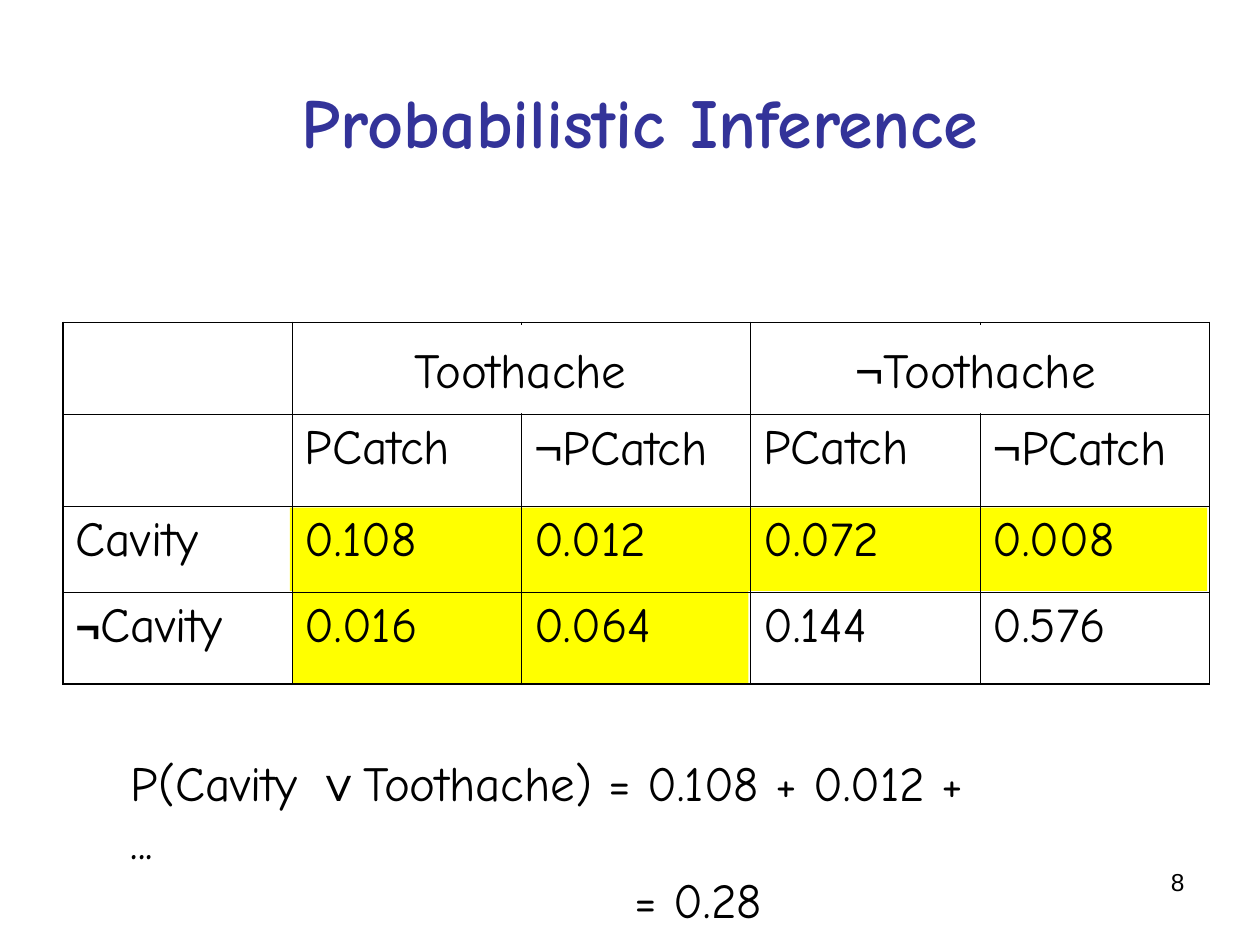
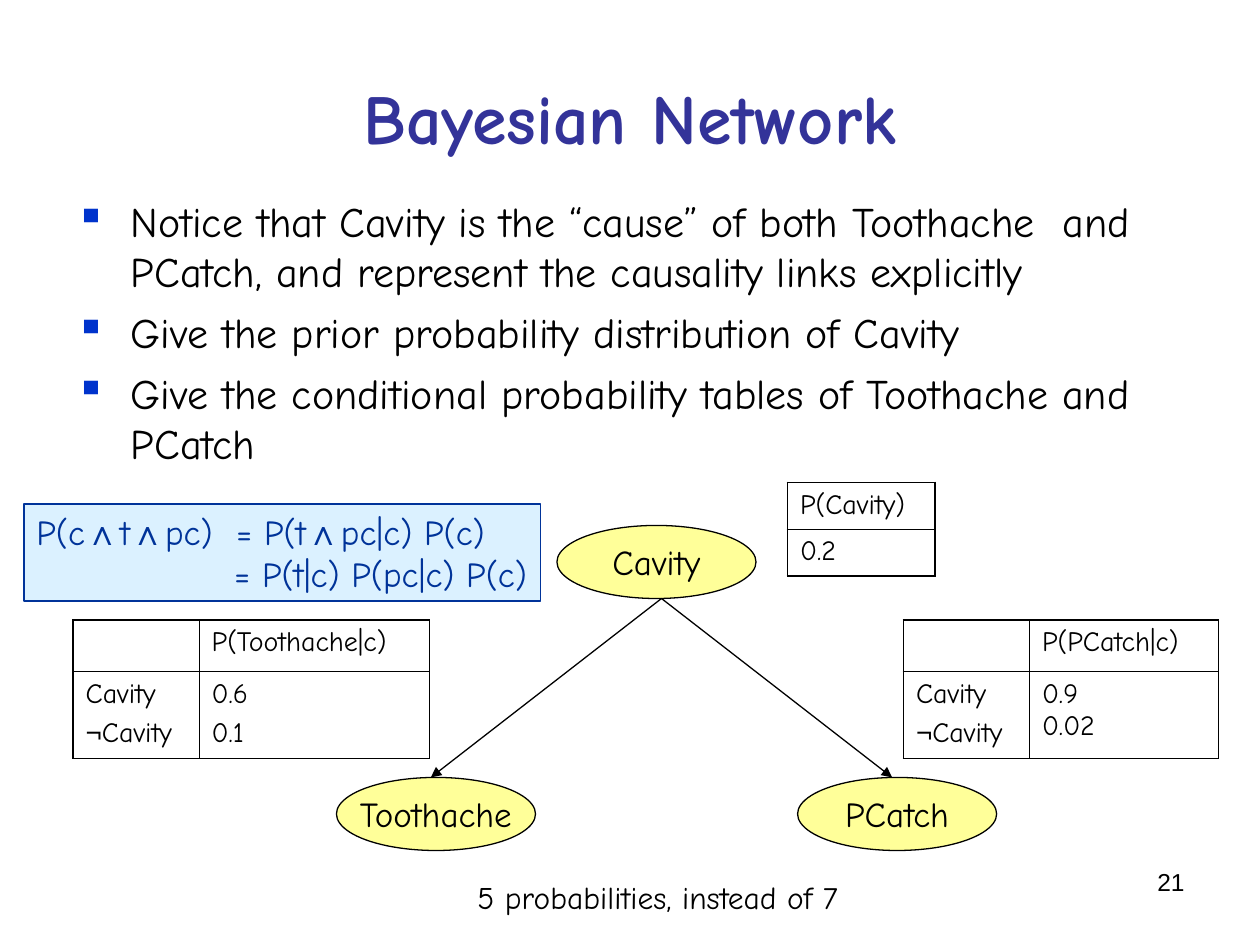
"""Build two slides on probabilistic inference and Bayesian networks."""
from itertools import groupby

from lxml import etree
from pptx import Presentation
from pptx.dml.color import RGBColor
from pptx.enum.shapes import MSO_CONNECTOR, MSO_SHAPE
from pptx.enum.text import MSO_ANCHOR, PP_ALIGN
from pptx.oxml import parse_xml
from pptx.oxml.ns import nsdecls, qn
from pptx.util import Inches, Pt

RECT, OVAL = MSO_SHAPE.RECTANGLE, MSO_SHAPE.OVAL
STRAIGHT = MSO_CONNECTOR.STRAIGHT
LEFT, CENTER, RIGHT = PP_ALIGN.LEFT, PP_ALIGN.CENTER, PP_ALIGN.RIGHT
MIDDLE = MSO_ANCHOR.MIDDLE

COLORS = {"black": "000000", "white": "FFFFFF", "title": "333399", "bullet": "0033CC",
          "highlight": "FFFF00", "node": "FFFF99", "formula": "DBF1FF", "formula_ink": "003399"}
FONT, SYMBOL_FONT = "Comic Neue", "Arial"


def write(tf, text, size, color="black", align=LEFT, before=0, bold=False, font=FONT):
    """Write paragraphs, with logic symbols in their own font and \\v as a line break."""
    for i, line in enumerate(text.split("\n")):
        p = tf.paragraphs[0] if i == 0 else tf.add_paragraph()
        p.alignment = align
        p.space_before = Pt(before)
        for symbol, chars in groupby(line, lambda ch: ch if ch in "¬∧∨\v" else ""):
            if symbol == "\v":
                p.add_line_break()
                continue
            r = p.add_run()
            r.text = "".join(chars)
            r.font.name = SYMBOL_FONT if symbol else font
            r.font.size = Pt(size)
            r.font.bold = bold or symbol in ("∧", "∨")
            r.font.color.rgb = RGBColor.from_string(COLORS[color])


def add_table(s, x, y, widths, heights, rows, size, before):
    """Add an unfilled table with thin inner and thicker outer borders."""
    frame = s.shapes.add_table(len(heights), len(widths), Inches(x), Inches(y),
                               Inches(sum(widths)), Inches(sum(heights)))
    table = frame.table
    table.first_row = table.horz_banding = False
    for column, width in zip(table.columns, widths):
        column.width = Inches(width)
    for row, height in zip(table.rows, heights):
        row.height = Inches(height)
    for i, row in enumerate(rows):
        for j, text in enumerate(row):
            cell = table.cell(i, j)
            write(cell.text_frame, text, size, before=before)
            outer = {"L": j == 0, "R": j == len(widths) - 1,
                     "T": i == 0, "B": i == len(heights) - 1}
            for side, is_outer in outer.items():
                cell._tc.get_or_add_tcPr().append(parse_xml(
                    f'<a:ln{side} {nsdecls("a")} w="{Pt(1.08 if is_outer else 0.45)}"><a:solidFill>'
                    f'<a:srgbClr val="{COLORS["black"]}"/></a:solidFill></a:ln{side}>'))
            cell.fill.background()
    return table


prs = Presentation()
prs.slide_width, prs.slide_height = Inches(10), Inches(7.5)

slides = []
for title, number, at in [("Probabilistic Inference", "8", (0.33, 0.33, 9.5, 1.25)),
                          ("Bayesian Network", "21", (0.5, 0.3, 9, 1.25))]:
    s = prs.slides.add_slide(prs.slide_layouts[6])
    tf = s.shapes.add_textbox(*map(Inches, at)).text_frame
    tf.word_wrap = True
    tf.vertical_anchor = MIDDLE
    write(tf, title, 40, "title", CENTER, bold=True)
    tf = s.shapes.add_textbox(*map(Inches, (7.17, 6.83, 2.33, 0.52))).text_frame
    tf.word_wrap = True
    write(tf, number, 14, align=RIGHT, font="Arial")
    slides.append(s)
inference, network = slides

for at in [(2.3, 4.03, 7.28, 0.66), (2.32, 4.05, 3.62, 1.37)]:
    sp = inference.shapes.add_shape(RECT, *map(Inches, at))
    sp.shadow.inherit = False
    sp.fill.solid()
    sp.fill.fore_color.rgb = RGBColor.from_string(COLORS["highlight"])
    sp.line.fill.background()

joint = add_table(inference, 0.5, 2.56, [1.82] * 5, [0.73, 0.73, 0.68, 0.73], [
    [""] * 5,
    [""] + ["PCatch", "¬PCatch"] * 2,
    ["Cavity", "0.108", "0.012", "0.072", "0.008"],
    ["¬Cavity", "0.016", "0.064", "0.144", "0.576"]], 28, 7)
negation = joint.cell(3, 0).text_frame.paragraphs[0].runs[0]
negation.font.size, negation.font.bold = Pt(24), True

labels = [(inference, RECT, (2.42, 2.58, 3.42, 0.7), "Toothache", 28, "white"),
          (inference, RECT, (6.02, 2.58, 3.44, 0.7), "¬Toothache", 28, "white")]
for x, y, name in [(4.42, 4.17, "Cavity"), (2.67, 6.17, "Toothache"), (6.33, 6.17, "PCatch")]:
    labels.append((network, OVAL, (x, y, 1.58, 0.58), name, 20, "node"))
for s, kind, at, text, size, fill in labels:
    sp = s.shapes.add_shape(kind, *map(Inches, at))
    sp.shadow.inherit = False
    sp.fill.solid()
    sp.fill.fore_color.rgb = RGBColor.from_string(COLORS[fill])
    if kind == OVAL:
        sp.line.color.rgb = RGBColor.from_string(COLORS["black"])
        sp.line.width = Pt(0.75)
    else:
        sp.line.fill.background()
    tf = sp.text_frame
    tf.word_wrap = False
    tf.vertical_anchor = MIDDLE
    write(tf, text, size, align=CENTER)

tf = inference.shapes.add_textbox(*map(Inches, (0.94, 5.92, 6.9, 1.04))).text_frame
tf.word_wrap = True
write(tf, "P(Cavity ∨Toothache) = 0.108 + 0.012 + ...\n= 0.28", 28)
tf.paragraphs[1]._p.get_or_add_pPr().set("marL", str(Inches(4)))

tf = network.shapes.add_textbox(*map(Inches, (0.5, 1.5, 9.17, 4.95))).text_frame
tf.word_wrap = True
write(tf, "Notice that Cavity is the “cause” of both Toothache  and PCatch, "
          "and represent the causality links explicitly\n"
          "Give the prior probability distribution of Cavity\n"
          "Give the conditional probability tables of Toothache and PCatch", 24, before=6)
for p in tf.paragraphs:
    pPr = p._p.get_or_add_pPr()
    pPr.set("marL", str(Inches(0.44)))
    pPr.set("indent", str(Inches(-0.44)))
    color = etree.SubElement(pPr, qn("a:buClr"))
    etree.SubElement(color, qn("a:srgbClr"), val=COLORS["bullet"])
    etree.SubElement(pPr, qn("a:buChar"), char="▪")

for x in (3.42, 7.08):
    arrow = network.shapes.add_connector(STRAIGHT, *map(Inches, (5.25, 4.75, x, 6.17)))
    arrow.line.color.rgb = RGBColor.from_string(COLORS["black"])
    arrow.line.width = Pt(0.75)
    etree.SubElement(arrow.line._get_or_add_ln(), qn("a:tailEnd"), type="triangle")
    etree.SubElement(arrow._element.spPr, qn("a:effectLst"))

add_table(network, 6.25, 3.83, [1.17], [0.37, 0.37], [["P(Cavity)"], ["0.2"]], 16, 4)
for x, width, effect, values in [(0.58, 1.83, "Toothache", "0.6\n0.1"),
                                 (7.17, 1.5, "PCatch", "0.9\v0.02")]:
    add_table(network, x, 4.92, [1, width], [0.41, 0.69],
              [["", f"P({effect}|c)"], ["Cavity\n¬Cavity", values]], 16, 4)

tf = network.shapes.add_textbox(*map(Inches, (3.69, 6.92, 3.07, 0.4))).text_frame
tf.word_wrap = False
write(tf, "5 probabilities, instead of 7", 18)

sp = network.shapes.add_shape(RECT, *map(Inches, (0.19, 4, 4.1, 0.77)))
sp.shadow.inherit = False
sp.fill.solid()
sp.fill.fore_color.rgb = RGBColor.from_string(COLORS["formula"])
sp.line.color.rgb = RGBColor.from_string(COLORS["formula_ink"])
sp.line.width = Pt(0.75)
tf = sp.text_frame
tf.word_wrap = True
tf.margin_right = 0
tf.vertical_anchor = MIDDLE
write(tf, "P(c∧t∧pc)  = P(t∧pc|c) P(c)\n= P(t|c) P(pc|c) P(c)", 20, "formula_ink")
tf.paragraphs[1]._p.get_or_add_pPr().set("marL", str(Inches(1.57)))

prs.save("out.pptx")
